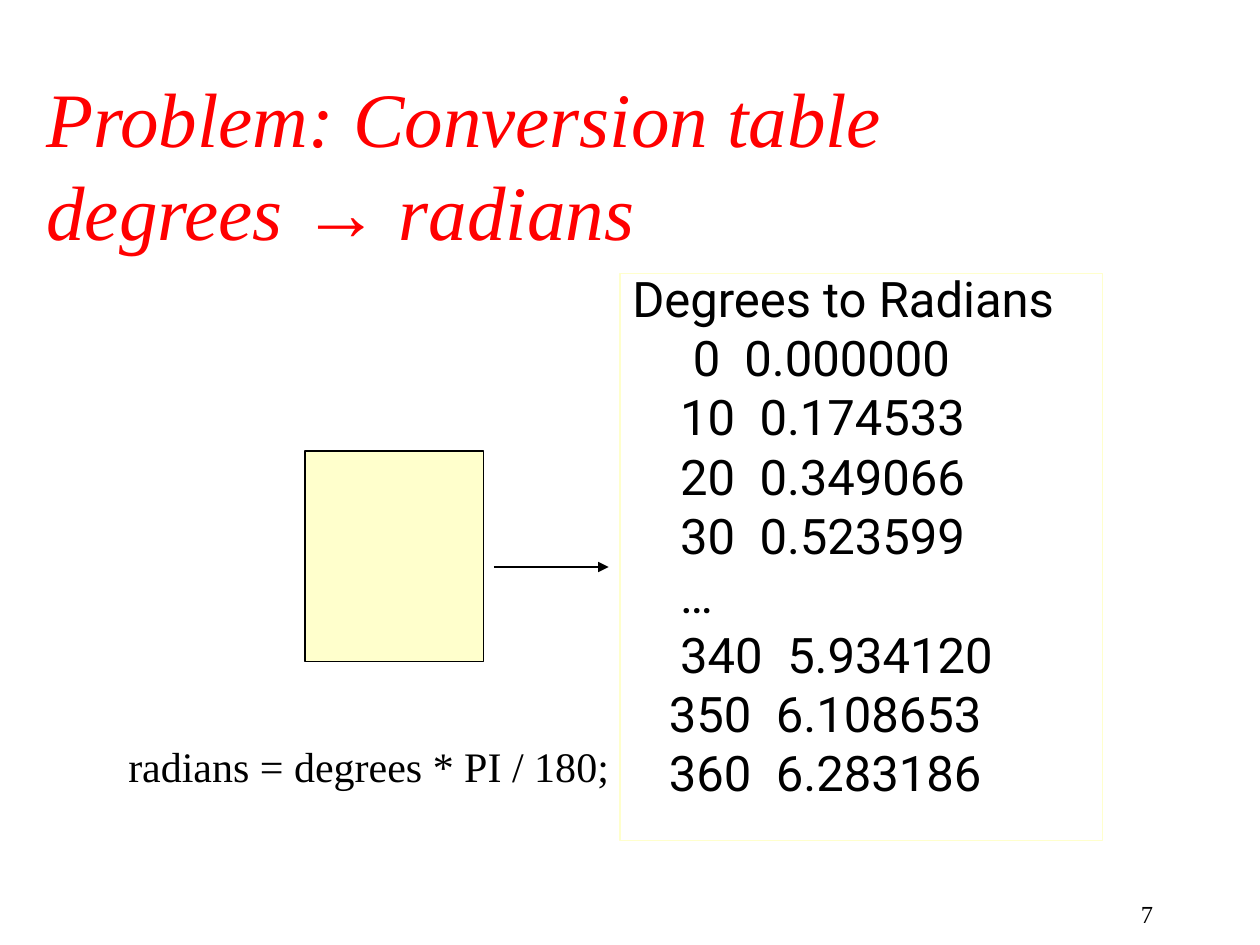
from lxml import etree
from pptx import Presentation
from pptx.dml.color import RGBColor
from pptx.enum import shapes, text
from pptx.oxml.ns import qn
from pptx.util import Inches, Pt

COLORS = {"title": "FF0000", "ink": "000000", "cream": "FFFFCC"}
SERIF = "Times New Roman"


def style(font, size, name, color="ink"):
    font.size = Pt(size)
    font.name = name
    font.color.rgb = RGBColor.from_string(COLORS[color])


def outline(line, color):
    line.color.rgb = RGBColor.from_string(COLORS[color])
    line.width = Pt(0.75)


prs = Presentation()
prs.slide_width, prs.slide_height = Inches(10), Inches(7.5)
slide = prs.slides.add_slide(prs.slide_layouts[6])

title = slide.shapes.add_textbox(Inches(0.27), Inches(0.67), Inches(8.5), Inches(1.25))
title.text_frame.word_wrap = True
title.text_frame.vertical_anchor = text.MSO_ANCHOR.MIDDLE
heading = title.text_frame.paragraphs[0]
for words, face in [("Problem: Conversion table\vdegrees ", SERIF), ("→", "Arial"), (" radians", SERIF)]:
    for index, part in enumerate(words.split("\v")):
        if index:
            heading.add_line_break()
        run = heading.add_run()
        run.text = part
        style(run.font, 44, face, "title")
        run.font.italic = True

output = slide.shapes.add_textbox(Inches(4.92), Inches(2.17), Inches(3.83), Inches(4.5))
outline(output.line, "cream")
output.text_frame.word_wrap = True
rows = [
    (0, "Degrees to Radians", ""),
    (0.48, "0", "0.000000"),
    (0.38, "10", "0.174533"),
    (0.38, "20", "0.349066"),
    (0.38, "30", "0.523599"),
    (0.38, "…", ""),
    (0.38, "340", "5.934120"),
    (0.29, "350", "6.108653"),
    (0.29, "360", "6.283186"),
]
for index, (start, degrees, radians) in enumerate(rows):
    row = output.text_frame.paragraphs[0] if index == 0 else output.text_frame.add_paragraph()
    row.text = f"{degrees}\t{radians}" if radians else degrees
    hang = 0.22 * len(degrees) + 0.19 if radians else 0
    properties = row._p.get_or_add_pPr()
    properties.set("marL", str(Inches(start + hang)))
    properties.set("indent", str(Inches(-hang)))
    row.line_spacing = 0.8
    if index:
        row.space_before = Pt(7)
    style(row.font, 28, "Roboto")

program = slide.shapes.add_shape(
    shapes.MSO_SHAPE.RECTANGLE, Inches(2.42), Inches(3.58), Inches(1.42), Inches(1.67))
program.shadow.inherit = False
program.fill.solid()
program.fill.fore_color.rgb = RGBColor.from_string(COLORS["cream"])
outline(program.line, "ink")

arrow = slide.shapes.add_connector(
    shapes.MSO_CONNECTOR.STRAIGHT, Inches(3.92), Inches(4.5), Inches(4.83), Inches(4.5))
outline(arrow.line, "ink")
etree.SubElement(arrow.line._get_or_add_ln(), qn("a:tailEnd"), type="triangle")
etree.SubElement(arrow._element.spPr, qn("a:effectLst"))

captions = [
    ("radians = degrees * PI / 180;", 0.92, 5.83, 4.1, 24, text.PP_ALIGN.LEFT, text.MSO_ANCHOR.TOP),
    ("7", 7.17, 6.92, 2.08, 14, text.PP_ALIGN.RIGHT, text.MSO_ANCHOR.BOTTOM),
]
for words, left, top, width, size, align, anchor in captions:
    caption = slide.shapes.add_textbox(Inches(left), Inches(top), Inches(width), Inches(0.5))
    caption.text_frame.word_wrap = True
    caption.text_frame.vertical_anchor = anchor
    line = caption.text_frame.paragraphs[0]
    line.text = words
    line.alignment = align
    style(line.font, size, SERIF)

prs.save("out.pptx")
